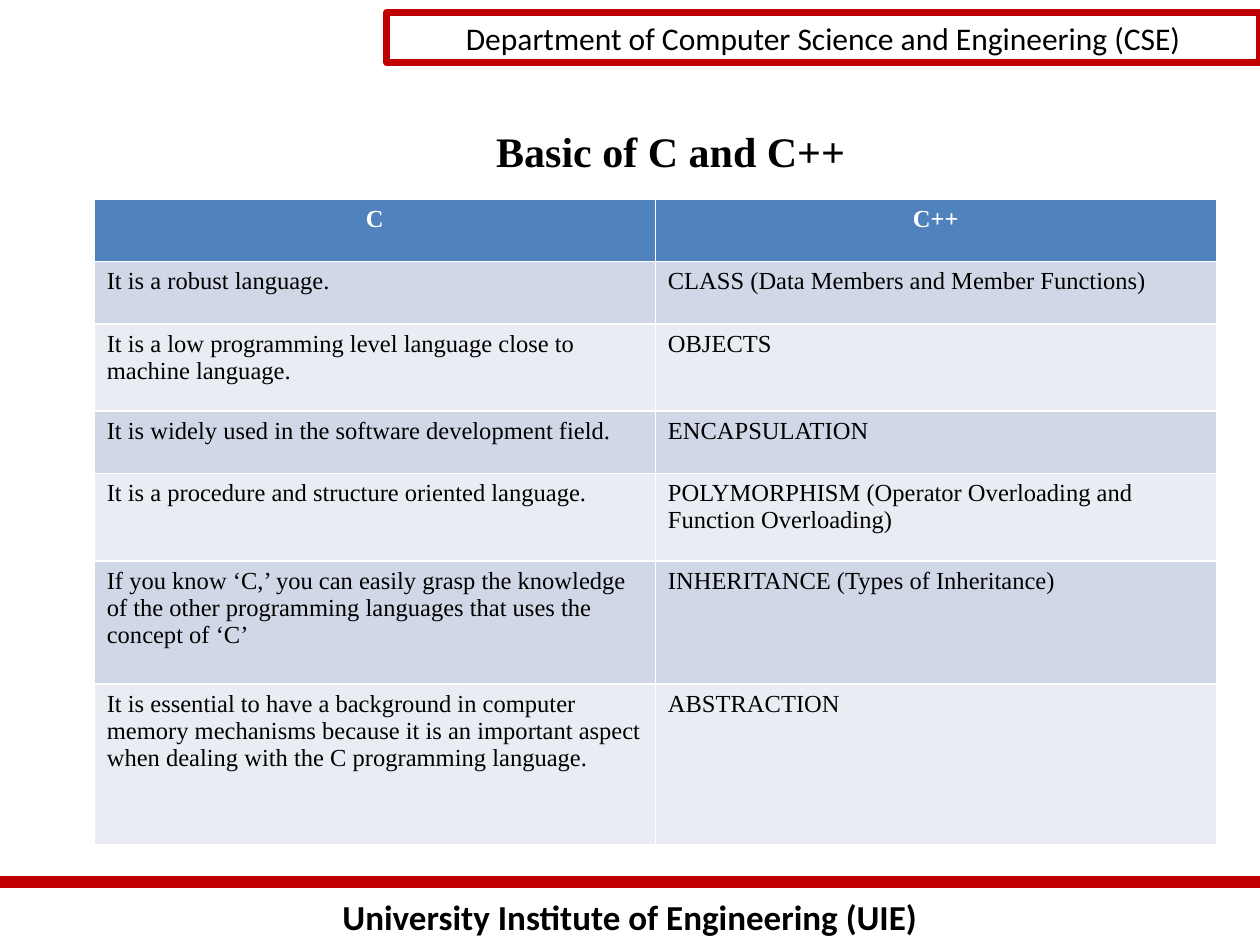
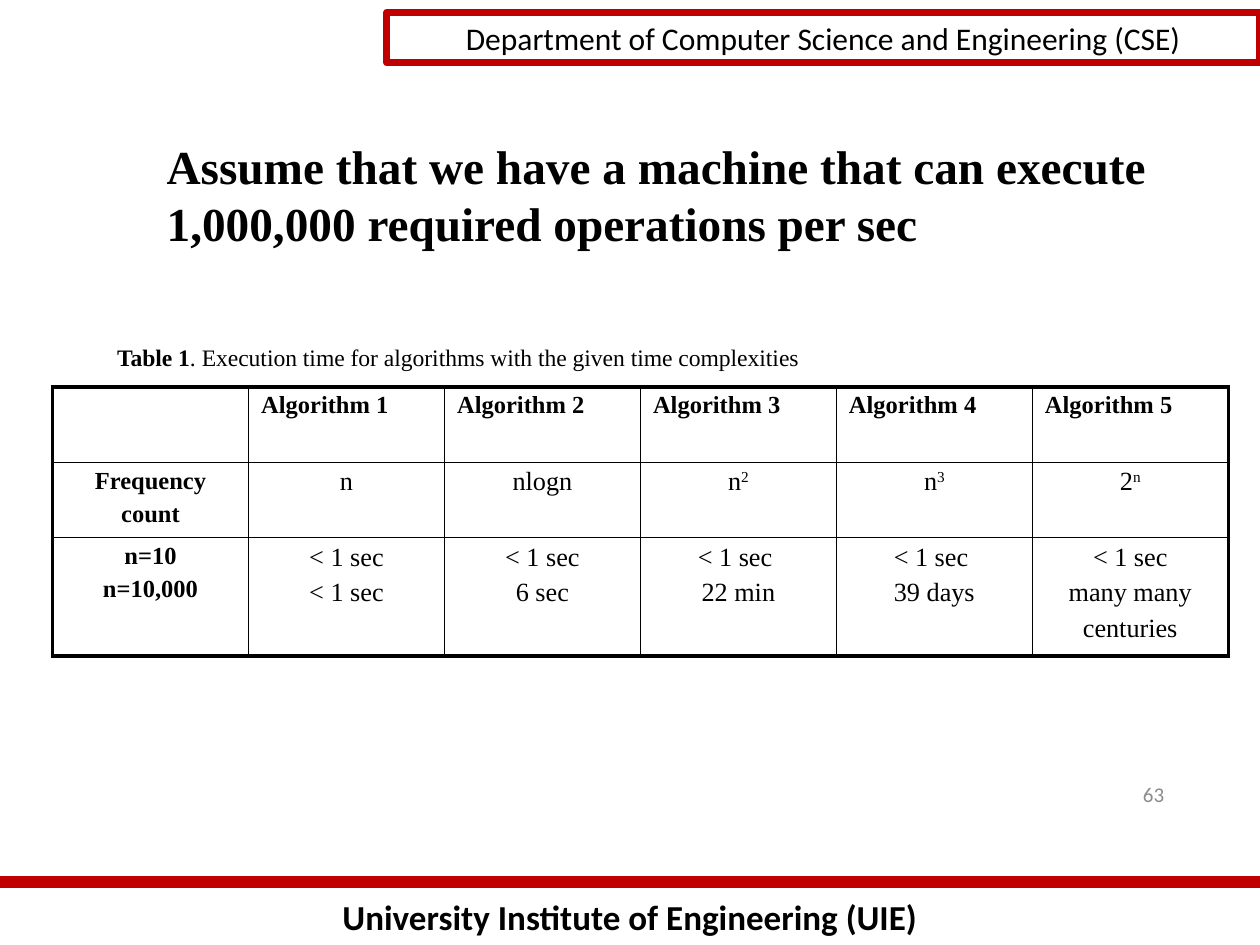
from lxml.etree import SubElement
from pptx import Presentation
from pptx.dml.color import RGBColor
from pptx.enum.shapes import MSO_CONNECTOR, MSO_SHAPE
from pptx.enum.text import MSO_ANCHOR, PP_ALIGN
from pptx.oxml import parse_xml
from pptx.oxml.ns import nsdecls, qn
from pptx.util import Cm, Pt

INK = {"text": "000000", "white": "FFFFFF", "red": "C00000", "grey": "8C8C8C",
       "head": "4F81BD", "odd": "D0D8E7", "even": "E9ECF3"}
SANS, SERIF = "Calibri", "Times New Roman"
WIDE, HIGH = 25.4, 19.05
LEFT, MID, RIGHT = PP_ALIGN.LEFT, PP_ALIGN.CENTER, PP_ALIGN.RIGHT
THIN, THICK = 1, 2.25

PAIRS = [
    ("C", "C++"),
    ("It is a robust language.", "CLASS (Data Members and Member Functions)"),
    ("It is a low programming level language close to machine language.",
     "OBJECTS"),
    ("It is widely used in the software development field.", "ENCAPSULATION"),
    ("It is a procedure and structure oriented language.",
     "POLYMORPHISM (Operator Overloading and Function Overloading)"),
    ("If you know ‘C,’ you can easily grasp the knowledge of the other "
     "programming languages that uses the concept of ‘C’",
     "INHERITANCE (Types of Inheritance)"),
    ("It is essential to have a background in computer memory mechanisms "
     "because it is an important aspect when dealing with the C programming "
     "language.", "ABSTRACTION"),
]

# Each cell is a list of lines; a line is a string or a list of (text, style).
SUP = {"sup": True}
TIMES = [
    [[]] + [[f"Algorithm {n}"] for n in range(1, 6)],
    [["Frequency", "count"], ["n"], ["nlogn"], [[("n", {}), ("2", SUP)]],
     [[("n", {}), ("3", SUP)]], [[("2", {}), ("n", SUP)]]],
    [["n=10", "n=10,000"], ["< 1 sec", "< 1 sec"], ["< 1 sec", "6 sec"],
     ["< 1 sec ", "22 min"], ["< 1 sec ", "39 days"],
     ["< 1 sec", "many many", "centuries"]],
]


def rgb(name):
    return RGBColor.from_string(INK[name])


def write(frame, lines, size, font=SERIF, bold=False, ink="text", align=LEFT,
          gap=0):
    """Fill a text frame; gap is the space in points between its lines."""
    for i, line in enumerate(lines):
        para = frame.add_paragraph() if i else frame.paragraphs[0]
        para.alignment = align
        if i and gap:
            para.space_before = Pt(gap)
        for text, style in [(line, {})] if isinstance(line, str) else line:
            run = para.add_run()
            run.text = text
            run.font.name, run.font.size = font, Pt(size)
            run.font.bold = style.get("bold", bold)
            run.font.color.rgb = rgb(ink)
            if style.get("sup"):
                run.font._element.set("baseline", "30000")


def label(slide, box, lines, size, pad=(0.18, 0.1), anchor=MSO_ANCHOR.TOP,
          **style):
    frame = slide.shapes.add_textbox(*map(Cm, box)).text_frame
    frame.word_wrap = True
    frame.vertical_anchor = anchor
    frame.margin_left = frame.margin_right = Cm(pad[0])
    frame.margin_top = frame.margin_bottom = Cm(pad[1])
    write(frame, lines, size, **style)


def title(slide, box, text, size, **style):
    label(slide, box, [text], size, bold=True, **style)


def banner(slide, box):
    shape = slide.shapes.add_shape(MSO_SHAPE.RECTANGLE, *map(Cm, box))
    shape.shadow.inherit = False
    shape.fill.background()
    shape.line.color.rgb = rgb("red")
    shape.line.width = Pt(4)
    write(shape.text_frame,
          ["Department of Computer Science and Engineering (CSE)"], 18,
          font=SANS, align=MID)


def footer(slide, box):
    left, top, wide, high = box
    rule = slide.shapes.add_connector(
        MSO_CONNECTOR.STRAIGHT, Cm(left), Cm(top), Cm(left + wide), Cm(top))
    rule.line.color.rgb = rgb("red")
    rule.line.width = Pt(7)
    SubElement(rule._element.spPr, qn("a:effectLst"))
    label(slide, (left, top + 0.15, wide, high - 0.15),
          ["University Institute of Engineering (UIE)"], 20,
          pad=(0.25, 0.13), font=SANS, bold=True, align=MID)


def page(deck):
    """Add a slide with the shared banner and footer."""
    slide = deck.slides.add_slide(deck.slide_layouts[6])
    footer(slide, (0, 17.78, WIDE, HIGH - 17.78))
    banner(slide, (7.8, 0.25, WIDE - 7.8, 1.02))
    return slide


def edge(cell, ink, sizes):
    """Draw cell borders; sizes are points for left, right, top, bottom."""
    props = cell._tc.get_or_add_tcPr()
    for i, (side, size) in enumerate(zip("LRTB", sizes)):
        props.insert(i, parse_xml(
            f'<a:ln{side} {nsdecls("a")} w="{Pt(size)}"><a:solidFill>'
            f'<a:srgbClr val="{INK[ink]}"/></a:solidFill></a:ln{side}>'))


def grid(slide, box, cols, rows):
    """Add a plain table with equal columns and the given row heights."""
    left, top, wide = box
    table = slide.shapes.add_table(
        len(rows), cols, Cm(left), Cm(top), Cm(wide), Cm(sum(rows))).table
    table.first_row = table.horz_banding = False
    for col in table.columns:
        col.width = Cm(wide / cols)
    for row, high in zip(table.rows, rows):
        row.height = Cm(high)
    return table


def versus(slide, box):
    table = grid(slide, box, 2, [1.26, 1.26, 1.76, 1.26, 1.76, 2.48, 3.23])
    for r, pair in enumerate(PAIRS):
        fill = ("odd" if r % 2 else "even") if r else "head"
        look = {} if r else {"bold": True, "ink": "white", "align": MID}
        for c, text in enumerate(pair):
            cell = table.cell(r, c)
            cell.fill.solid()
            cell.fill.fore_color.rgb = rgb(fill)
            edge(cell, "white", [0.96] * 4)
            write(cell.text_frame, [text], 14, **look)


def timing(slide, box):
    table = grid(slide, box, 6, [1.52, 1.52, 2.35])
    for r, row in enumerate(TIMES):
        for c, lines in enumerate(row):
            cell = table.cell(r, c)
            cell.fill.background()
            cell.margin_top = cell.margin_bottom = Cm(0.1)
            outer = (c == 0, c == 5, r == 0, r == 2)
            edge(cell, "text", [THICK if out else THIN for out in outer])
            head = r == 0 or c == 0
            write(cell.text_frame, lines, 14 if head else 15, bold=head,
                  align=MID if r else LEFT, gap=3.6 if head else 4)


def basics(deck):
    slide = page(deck)
    versus(slide, (1.9, 4.01, 22.62))
    title(slide, (2.51, 2.18, 22.02, 1.7), "Basic of C and C++", 24,
          pad=(0.25, 0.13), anchor=MSO_ANCHOR.MIDDLE, align=MID)


def speed(deck):
    slide = page(deck)
    label(slide, (17.93, 15.62, 5.72, 0.76), ["63"], 12, font=SANS,
          ink="grey", align=RIGHT, anchor=MSO_ANCHOR.MIDDLE)
    timing(slide, (1.06, 7.8, 23.7))
    label(slide, (2.18, 6.81, 20.8, 0.76), [[
        ("Table 1", {"bold": True}),
        (". Execution time for algorithms with the given time complexities",
         {})]], 13.5)
    title(slide, (3.18, 2.67, 21.08, 2.49),
          "Assume that we have a machine that can execute "
          "1,000,000 required operations per sec", 27)


def main():
    deck = Presentation()
    deck.slide_width, deck.slide_height = Cm(WIDE), Cm(HIGH)
    basics(deck)
    speed(deck)
    deck.save("out.pptx")


if __name__ == "__main__":
    main()
